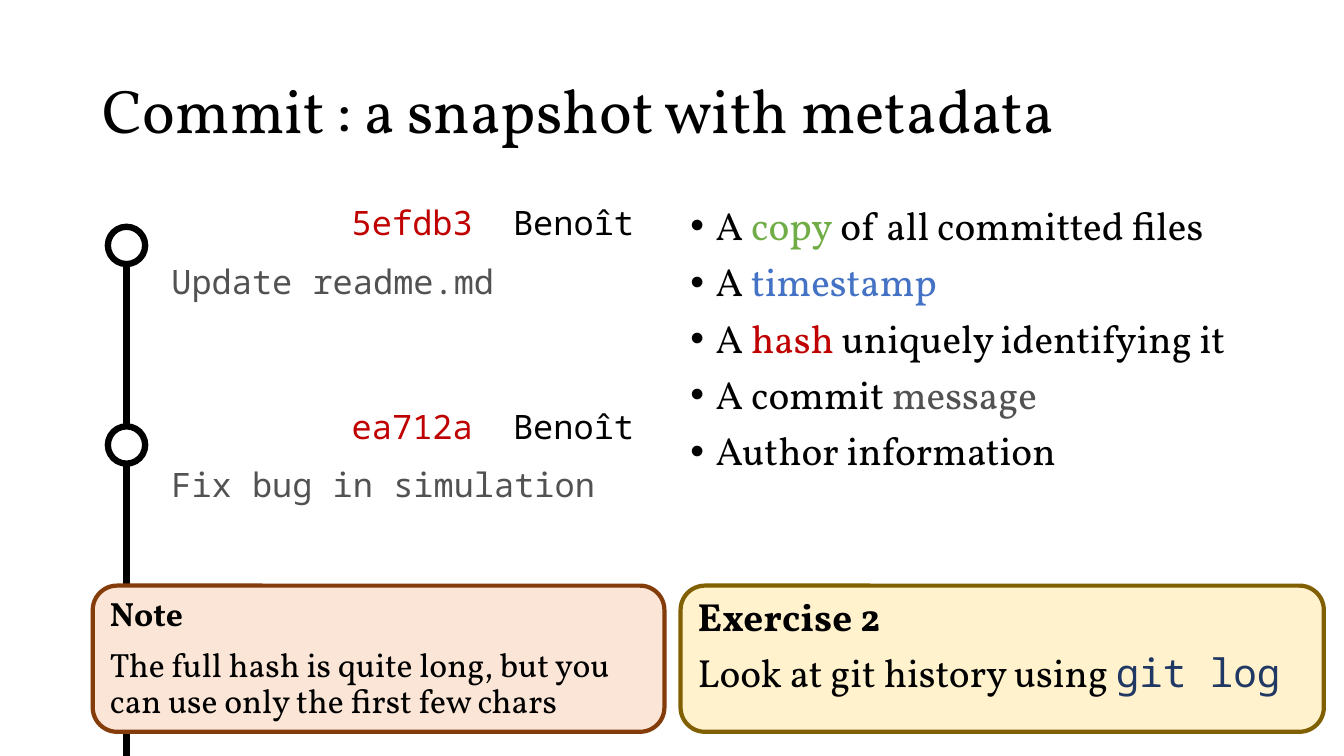
import pptx
import pptx.dml.color
import pptx.enum.shapes
import pptx.enum.text
import pptx.oxml.ns
import pptx.util
from dataclasses import dataclass
from lxml import etree

Inches = pptx.util.Inches
Pt = pptx.util.Pt
SHAPES = pptx.enum.shapes.MSO_SHAPE


@dataclass(frozen=True)
class Theme:
    serif: str = "Vollkorn"
    mono: str = "Noto Sans Mono"
    title: int = 44
    body: int = 28
    small: int = 24
    ink: str = "000000"
    copied: str = "70AD47"
    time: str = "4472C4"
    hash: str = "C00000"
    message: str = "525252"
    code: str = "203864"
    exercise_fill: str = "FFF2CC"
    exercise_line: str = "806000"
    note_fill: str = "FBE5D6"
    note_line: str = "843C0B"
    graph_width: float = 4.5
    card_width: float = 3


THEME = Theme()


def rgb(color):
    return pptx.dml.color.RGBColor.from_string(color)


def add_child(parent, tag, **attributes):
    return etree.SubElement(parent, pptx.oxml.ns.qn(tag), attributes)


def write(frame, paragraphs, size, font=THEME.serif, bullet=False, tab=None):
    """Each paragraph is a list of (text, color, optional run settings)."""
    frame.word_wrap = True
    for index, parts in enumerate(paragraphs):
        paragraph = frame.paragraphs[0] if index == 0 else frame.add_paragraph()
        paragraph.alignment = pptx.enum.text.PP_ALIGN.LEFT
        paragraph.line_spacing = 0.9
        if index:
            paragraph.space_before = Pt(10)
        properties = paragraph._p.get_or_add_pPr()
        if bullet:
            properties.set("marL", str(Inches(0.25)))
            properties.set("indent", str(Inches(-0.25)))
            add_child(properties, "a:buFont", typeface="Arial")
            add_child(properties, "a:buChar", char="•")
        if tab:
            stops = add_child(properties, "a:tabLst")
            add_child(stops, "a:tab", pos=str(Inches(tab)), algn="l")
        for text, color, *settings in parts:
            style = settings[0] if settings else {}
            run = paragraph.add_run()
            run.text = text
            run.font.name = style.get("font", font)
            run.font.size = Pt(size)
            run.font.bold = style.get("bold", False)
            run.font.color.rgb = rgb(color)


def add_text(slide, box, paragraphs, size, **options):
    frame = slide.shapes.add_textbox(*map(Inches, box)).text_frame
    write(frame, paragraphs, size, **options)
    return frame


def add_title(slide, box):
    title = add_text(slide, box, [[("Commit : a snapshot with metadata", THEME.ink)]],
                     THEME.title)
    title.vertical_anchor = pptx.enum.text.MSO_ANCHOR.MIDDLE


def add_contents(slide, box):
    add_text(slide, box, [
        [("A ", THEME.ink), ("copy", THEME.copied), (" of all committed files", THEME.ink)],
        [("A ", THEME.ink), ("timestamp", THEME.time)],
        [("A ", THEME.ink), ("hash ", THEME.hash), ("uniquely identifying it", THEME.ink)],
        [("A commit ", THEME.ink), ("message", THEME.message)],
        [("Author information", THEME.ink)],
    ], THEME.body, bullet=True)


def add_graph(slide, box):
    """Commit dots, with the branch running on to the bottom of the box."""
    left, top, dot_size, height = box
    pitch, center, bottom = 1.98, left + dot_size / 2, top + height
    for index in range(3):
        dot_top = top + index * pitch
        if index < 2:
            dot = slide.shapes.add_shape(
                SHAPES.OVAL, *map(Inches, (left, dot_top, dot_size, dot_size)))
            dot.shadow.inherit = False
            dot.fill.background()
            dot.line.color.rgb = rgb(THEME.ink)
            dot.line.width = Pt(THEME.graph_width)
        branch = slide.shapes.add_connector(
            pptx.enum.shapes.MSO_CONNECTOR.STRAIGHT,
            Inches(center), Inches(dot_top + dot_size),
            Inches(center), Inches(min(dot_top + pitch, bottom)))
        branch.line.color.rgb = rgb(THEME.ink)
        branch.line.width = Pt(THEME.graph_width)
        add_child(branch._element.spPr, "a:effectLst")


def add_commit(slide, box, commit_hash, author, message):
    left, top, width, height = box
    line_height = 0.51
    add_text(slide, (left + 1.69, top, width - 1.69, line_height),
             [[(commit_hash, THEME.hash), ("\t" + author, THEME.ink)]],
             THEME.small, font=THEME.mono, tab=1.6)
    message_frame = add_text(
        slide, (left, top + height - line_height, width - 0.13, line_height),
        [[(message, THEME.message)]], THEME.small, font=THEME.mono)
    message_frame.margin_left = message_frame.margin_right = 0


def add_card(slide, box, fill, line, paragraphs, size):
    card = slide.shapes.add_shape(SHAPES.ROUNDED_RECTANGLE, *map(Inches, box))
    card.shadow.inherit = False
    card.fill.solid()
    card.fill.fore_color.rgb = rgb(fill)
    card.line.color.rgb = rgb(line)
    card.line.width = Pt(THEME.card_width)
    card.text_frame.vertical_anchor = pptx.enum.text.MSO_ANCHOR.TOP
    write(card.text_frame, paragraphs, size)


def main():
    deck = pptx.Presentation()
    deck.slide_width, deck.slide_height = Inches(13.33), Inches(7.5)
    slide = deck.slides.add_slide(deck.slide_layouts[6])

    # Title and what a commit holds
    add_title(slide, (0.92, 0.4, 11.5, 1.45))
    add_contents(slide, (6.75, 2, 5.67, 3.42))

    # Commit history
    add_graph(slide, (1.07, 2.25, 0.37, 5.25))
    commits = [("5efdb3", "Benoît", "Update readme.md"),
               ("ea712a", "Benoît", "Fix bug in simulation")]
    for index, commit in enumerate(commits):
        add_commit(slide, (1.7, 2 + index * 2.02, 4.8, 1.09), *commit)

    # Exercise and note
    bold = {"bold": True}
    add_card(slide, (6.75, 5.81, 6.38, 1.45), THEME.exercise_fill, THEME.exercise_line, [
        [("Exercise 2", THEME.ink, bold)],
        [("Look at git history using ", THEME.ink),
         ("git log", THEME.code, {"font": THEME.mono})],
    ], THEME.body)
    add_card(slide, (0.92, 5.81, 5.67, 1.45), THEME.note_fill, THEME.note_line, [
        [("Note", THEME.ink, bold)],
        [("The full hash is quite long, but you can use only the first few chars",
          THEME.ink)],
    ], THEME.small)

    deck.save("out.pptx")


if __name__ == "__main__":
    main()
